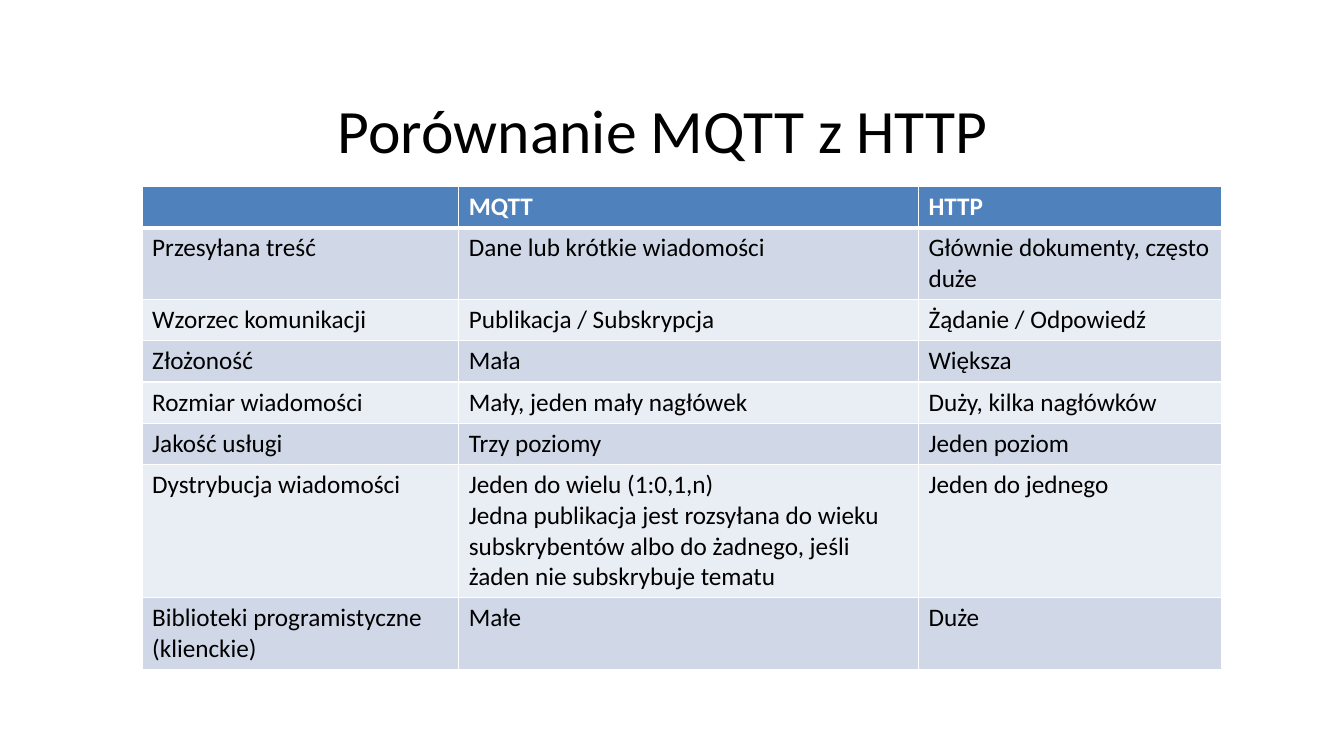
import pptx
import pptx.dml.color
import pptx.enum.text
import pptx.oxml
import pptx.oxml.ns
import pptx.util

Inches = pptx.util.Inches
Pt = pptx.util.Pt

TITLE = "Porównanie MQTT z HTTP"
ROWS = [
    ("", "MQTT", "HTTP"),
    ("Przesyłana treść", "Dane lub krótkie wiadomości", "Głównie dokumenty, często duże"),
    ("Wzorzec komunikacji", "Publikacja / Subskrypcja", "Żądanie / Odpowiedź"),
    ("Złożoność", "Mała", "Większa"),
    ("Rozmiar wiadomości", "Mały, jeden mały nagłówek", "Duży, kilka nagłówków"),
    ("Jakość usługi", "Trzy poziomy", "Jeden poziom"),
    (
        "Dystrybucja wiadomości",
        "Jeden do wielu (1:0,1,n)\n"
        "Jedna publikacja jest rozsyłana do wieku subskrybentów albo do żadnego, "
        "jeśli żaden nie subskrybuje tematu",
        "Jeden do jednego",
    ),
    ("Biblioteki programistyczne (klienckie)", "Małe", "Duże"),
]
COLUMN_WIDTHS = (3.14, 4.56, 3.01)
ROW_HEIGHT = 0.41
COLORS = {
    "text": "000000",
    "header": "4F81BD",
    "header_text": "FFFFFF",
    "odd_row": "D0D8E8",
    "even_row": "E9EDF4",
    "border": "FFFFFF",
}


def rgb(name):
    return pptx.dml.color.RGBColor.from_string(COLORS[name])


def format_font(font, color, **values):
    font.color.rgb = rgb(color)
    for name, value in {"name": "Calibri", **values}.items():
        setattr(font, name, value)


def set_borders(cell, bottom_width):
    properties = cell._tc.get_or_add_tcPr()
    widths = {"lnL": 1, "lnR": 1, "lnT": 1, "lnB": bottom_width}
    for index, (side, width) in enumerate(widths.items()):
        line = pptx.oxml.parse_xml(
            f'<a:{side} {pptx.oxml.ns.nsdecls("a")} w="{Pt(width)}"><a:solidFill>'
            f'<a:srgbClr val="{COLORS["border"]}"/></a:solidFill></a:{side}>'
        )
        properties.insert(index, line)


def add_title(slide):
    title = slide.shapes.title
    box = {"left": 3.25, "top": 0.96, "width": 9, "height": 0.73}
    for name, value in box.items():
        setattr(title, name, Inches(value))
    frame = title.text_frame
    frame.text = TITLE
    frame.word_wrap = True
    frame.auto_size = pptx.enum.text.MSO_AUTO_SIZE.NONE
    frame.vertical_anchor = pptx.enum.text.MSO_ANCHOR.MIDDLE
    paragraph = frame.paragraphs[0]
    paragraph.alignment = pptx.enum.text.PP_ALIGN.LEFT
    paragraph.line_spacing = 0.89
    format_font(paragraph.runs[0].font, "text", size=Pt(44))


def add_comparison(slide):
    table = slide.shapes.add_table(
        len(ROWS), len(COLUMN_WIDTHS), Inches(1.41), Inches(1.85),
        Inches(sum(COLUMN_WIDTHS)), Inches(ROW_HEIGHT * len(ROWS)),
    ).table
    for column, width in zip(table.columns, COLUMN_WIDTHS):
        column.width = Inches(width)
    for row_index, texts in enumerate(ROWS):
        table.rows[row_index].height = Inches(ROW_HEIGHT)
        header = row_index == 0
        fill = "header" if header else "odd_row" if row_index % 2 else "even_row"
        for column_index, text in enumerate(texts):
            cell = table.cell(row_index, column_index)
            cell.text = text
            cell.fill.solid()
            cell.fill.fore_color.rgb = rgb(fill)
            set_borders(cell, 3 if header else 1)
            for paragraph in cell.text_frame.paragraphs:
                format_font(paragraph.font, "header_text" if header else "text",
                            size=Pt(18), bold=header)
                for run in paragraph.runs:
                    format_font(run.font, "header_text" if header else "text",
                                size=Pt(18), bold=header)


def main():
    presentation = pptx.Presentation()
    presentation.slide_width = Inches(13.33)
    presentation.slide_height = Inches(7.5)
    slide = presentation.slides.add_slide(presentation.slide_layouts[5])
    add_title(slide)
    add_comparison(slide)
    presentation.save("out.pptx")


if __name__ == "__main__":
    main()
